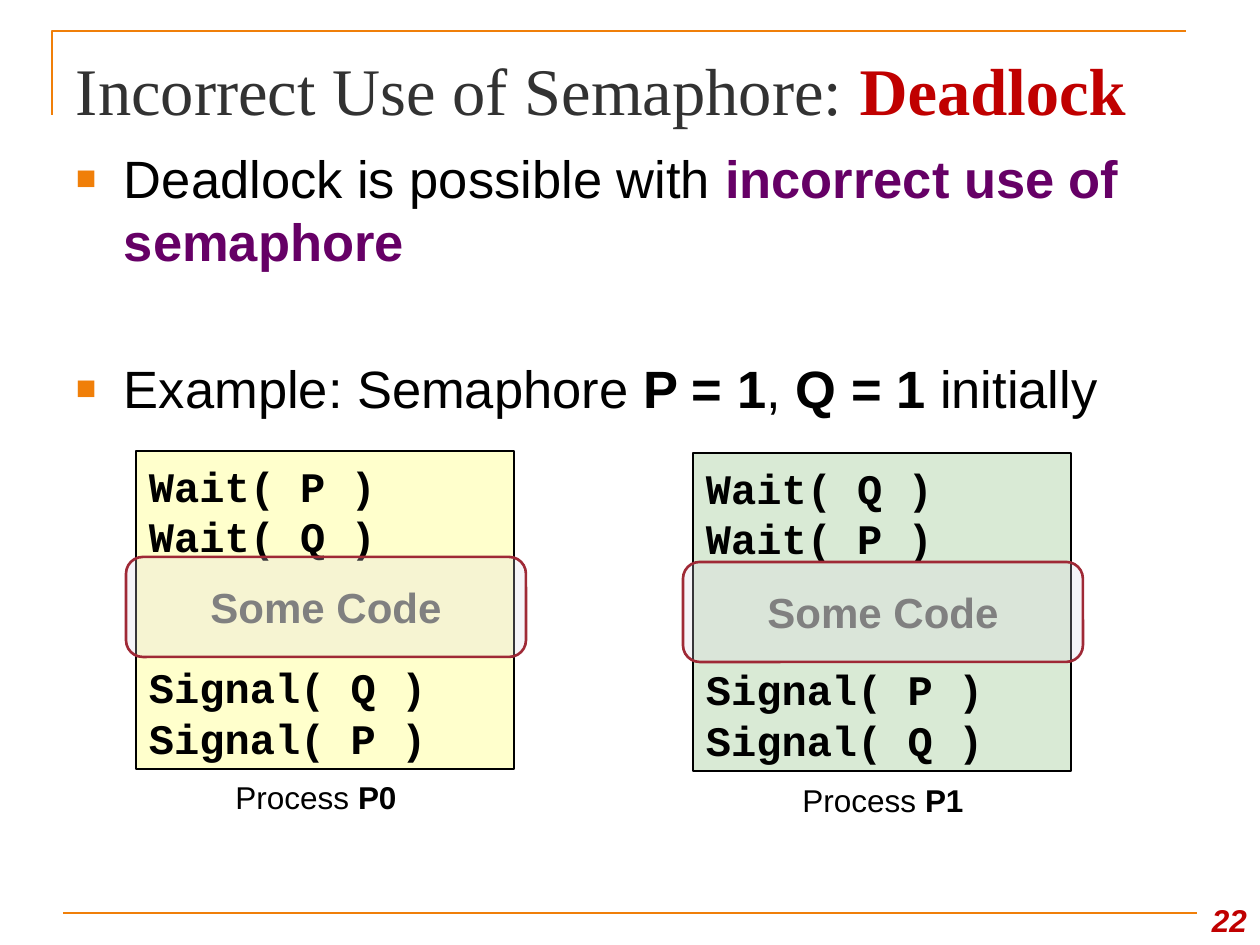
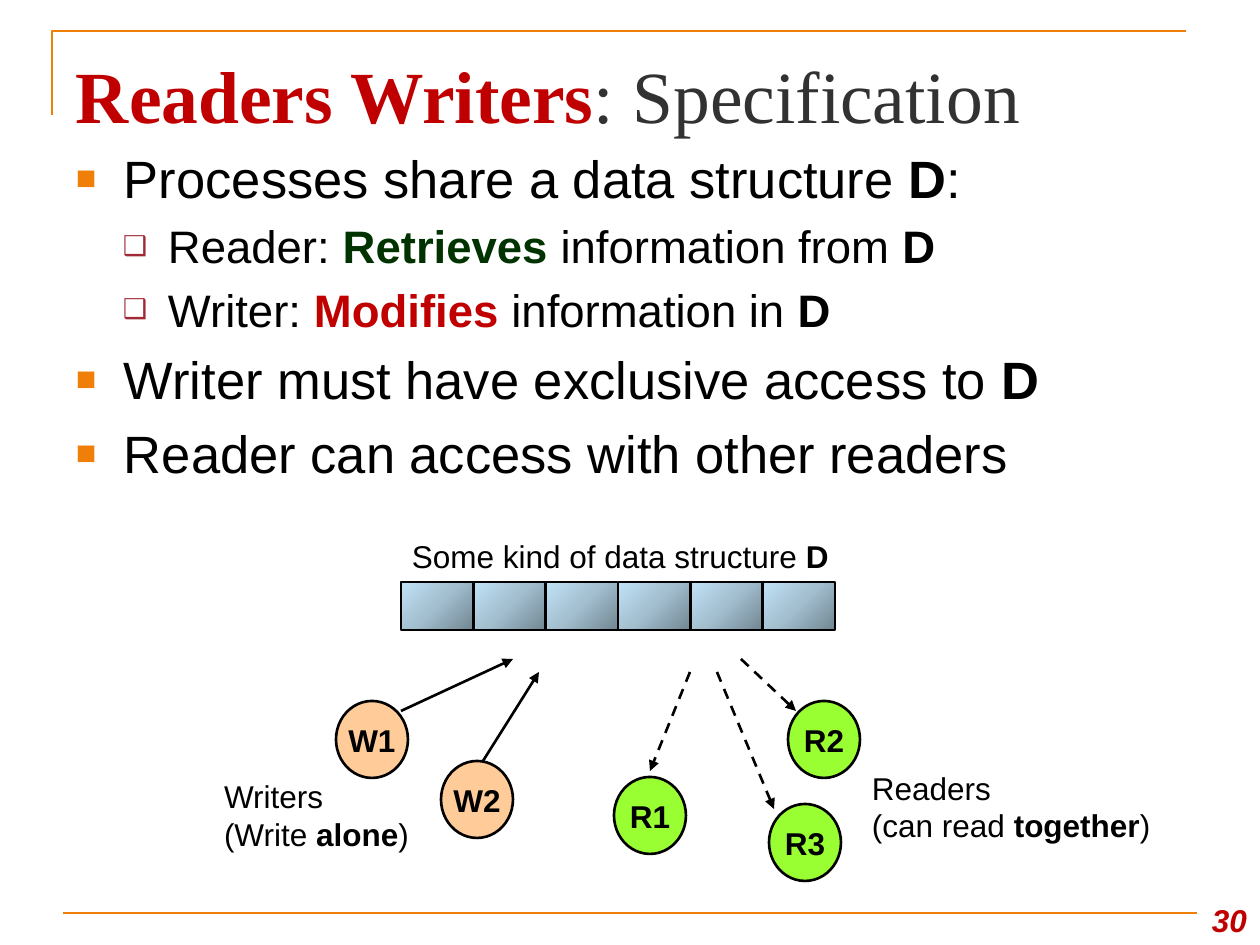
from lxml import etree
from pptx import Presentation
from pptx.dml.color import RGBColor
from pptx.enum.dml import MSO_LINE
from pptx.enum.shapes import MSO_CONNECTOR, MSO_SHAPE
from pptx.enum.text import MSO_ANCHOR, PP_ALIGN
from pptx.oxml import parse_xml
from pptx.oxml.ns import nsdecls, qn
from pptx.util import Emu, Pt

TOP, MIDDLE, BOTTOM = MSO_ANCHOR.TOP, MSO_ANCHOR.MIDDLE, MSO_ANCHOR.BOTTOM
LEFT, CENTER, RIGHT = PP_ALIGN.LEFT, PP_ALIGN.CENTER, PP_ALIGN.RIGHT
RECTANGLE, ROUNDED, OVAL = MSO_SHAPE.RECTANGLE, MSO_SHAPE.ROUNDED_RECTANGLE, MSO_SHAPE.OVAL
STRAIGHT, DASH = MSO_CONNECTOR.STRAIGHT, MSO_LINE.DASH

BLACK = RGBColor(0x00, 0x00, 0x00)
ORANGE = RGBColor(0xF0, 0x7F, 0x09)
MAROON = RGBColor(0x9F, 0x29, 0x36)
RED = RGBColor(0xC0, 0x00, 0x00)
CHARCOAL = RGBColor(0x32, 0x32, 0x32)
PURPLE = RGBColor(0x66, 0x00, 0x66)
DARK_GREEN = RGBColor(0x00, 0x33, 0x00)
GRAY = RGBColor(0x80, 0x80, 0x80)
LILAC = RGBColor(0xDF, 0xD7, 0xE7)
YELLOW = RGBColor(0xFF, 0xFF, 0xCC)
PALE_GREEN = RGBColor(0xD9, 0xEA, 0xD5)
LIME = RGBColor(0x99, 0xFF, 0x33)
PEACH = RGBColor(0xFF, 0xCC, 0x99)
CELL_STOPS = [(0, "728692"), (50, "A2BECF"), (100, "C1E2F6")]

SANS, SERIF, MONO = "Arial", "Times New Roman", "Courier New"
EMU_PER_PX = 914400 / 126
PX_PER_POINT = 1.75
LINE_PITCH = 1.2  # line height as a share of the font size
TOP_LEAD = 0.08  # extra room above the first line, same unit
MARGINS = (13, 6)
TIGHT_MARGINS = (11, 5)

# Bullet levels: character, colour, size %, indent px, hanging px, font size
BULLETS = [("■", ORANGE, 65, 48, 48, 30), ("❑", MAROON, 60, 92, 45, 26)]

# Content: a run is (text, bold, colour); colour may be left out
DEADLOCK = {
    "number": "22",
    "title_size": 38,
    "title": [("Incorrect Use of Semaphore: ", False, CHARCOAL), ("Deadlock", True, RED)],
    "body_height": 315,
    # level, space before in points, runs
    "body": [
        (0, 0, [("Deadlock is possible with ", False),
                ("incorrect use of semaphore", True, PURPLE)]),
        (0, 48, [("Example: Semaphore ", False), ("P = 1", True), (", ", False),
                 ("Q = 1", True), (" initially", False)]),
    ],
}
READERS_WRITERS = {
    "number": "30",
    "title_size": 42,
    "title": [("Readers Writers", True, RED), (": Specification", False, CHARCOAL)],
    "body_height": 374,
    "body": [
        (0, 0, [("Processes share a data structure ", False), ("D", True), (":", False)]),
        (1, 5.2, [("Reader: ", False), ("Retrieves ", True, DARK_GREEN),
                  ("information from ", False), ("D", True)]),
        (1, 5.2, [("Writer: ", False), ("Modifies", True, RED),
                  (" information in ", False), ("D", True)]),
        (0, 6, [("Writer must have exclusive access to", False), (" D", True)]),
        (0, 6, [("Reader can access with other readers", False)]),
    ],
}
# name, left, top, fill, waits, signals, caption shift, overlay drop
PROCESSES = [
    ("P0", 136, 451, YELLOW, ["Wait( P )", "Wait( Q )"],
     ["Signal( Q )", "Signal( P )"], 38, 106),
    ("P1", 693, 453, PALE_GREEN, ["Wait( Q )", "Wait( P )"],
     ["Signal( P )", "Signal( Q )"], 48, 109),
]
# name, left, top, fill, arrow start, arrow end, dash
ACTORS = [
    ("R1", 614, 777, LIME, (690, 672), (650, 771), DASH),
    ("R2", 788, 701, LIME, (741, 659), (796, 711), DASH),
    ("R3", 769, 804, LIME, (717, 672), (774, 809), DASH),
    ("W1", 336, 701, PEACH, (401, 711), (513, 659), None),
    ("W2", 441, 761, PEACH, (483, 761), (539, 672), None),
]
# box, lines of runs
LABELS = [
    ((401, 530, 444, 49), [[("Some kind of data structure ", False), ("D", True)]]),
    ((861, 761, 304, 88), [[("Readers", False)],
                           [("(can read ", False), ("together", True), (")", False)]]),
    ((213, 770, 209, 88), [[("Writers", False)],
                           [("(Write ", False), ("alone", True), (")", False)]]),
]
CELL_ROW = (401, 582, 434, 48)
CELL_COUNT = 6


def px(length):
    return Emu(round(length * EMU_PER_PX))


def add_runs(paragraph, runs, size, font_name=SANS, italic=False):
    for text, bold, *color in runs:
        run = paragraph.add_run()
        run.text = text
        font = run.font
        font.name, font.size, font.bold, font.italic = font_name, Pt(size), bold, italic
        font.color.rgb = color[0] if color else BLACK


def add_bullet(paragraph, level):
    character, color, percent, indent, hanging, _ = BULLETS[level]
    properties = paragraph._p.get_or_add_pPr()
    properties.set("marL", str(px(indent)))
    properties.set("indent", str(-px(hanging)))
    bullet_color = etree.SubElement(properties, qn("a:buClr"))
    etree.SubElement(bullet_color, qn("a:srgbClr"), val=str(color))
    etree.SubElement(properties, qn("a:buSzPct"), val=str(percent * 1000))
    etree.SubElement(properties, qn("a:buFont"), typeface=SANS)
    etree.SubElement(properties, qn("a:buChar"), char=character)


def set_frame(shape, size, anchor=TOP, margins=MARGINS, wrap=True):
    """Prepare the text frame; top-anchored text starts slightly lower."""
    frame = shape.text_frame
    frame.word_wrap = wrap
    frame.vertical_anchor = anchor
    lead = TOP_LEAD * size * PX_PER_POINT if anchor == TOP else 0
    frame.margin_left = frame.margin_right = px(margins[0])
    frame.margin_top, frame.margin_bottom = px(margins[1] + lead), px(margins[1])
    return frame


def write_lines(frame, lines, size, font_name=SANS, align=LEFT, italic=False):
    """Write (space before, runs) lines and return their paragraphs."""
    paragraphs = []
    for index, (space, runs) in enumerate(lines):
        paragraph = frame.add_paragraph() if index else frame.paragraphs[0]
        paragraph.alignment = align
        if frame.vertical_anchor == TOP:
            paragraph.line_spacing = Pt(size * LINE_PITCH)
        if space:
            paragraph.space_before = Pt(space)
        add_runs(paragraph, runs, size, font_name, italic)
        paragraphs.append(paragraph)
    return paragraphs


def add_text(slide, box, lines, size, font_name=SANS, align=LEFT, italic=False, **frame_options):
    shape = slide.shapes.add_textbox(*map(px, box))
    frame = set_frame(shape, size, **frame_options)
    write_lines(frame, lines, size, font_name, align, italic)


def add_box(slide, kind, box, fill=None, line=BLACK, width=1.5):
    shape = slide.shapes.add_shape(kind, *map(px, box))
    shape.shadow.inherit = False
    if fill is not None:
        shape.fill.solid()
        shape.fill.fore_color.rgb = fill
    shape.line.color.rgb, shape.line.width = line, Pt(width)
    return shape


def add_line(slide, start, end, color, dash=None, arrow=False):
    line = slide.shapes.add_connector(STRAIGHT, *map(px, start + end))
    line.line.color.rgb, line.line.width = color, Pt(1.5)
    if dash is not None:
        line.line.dash_style = dash
    if arrow:
        etree.SubElement(line.line._get_or_add_ln(), qn("a:tailEnd"), type="triangle")
    etree.SubElement(line._element.spPr, qn("a:effectLst"))


def add_base_slide(presentation, content):
    """Add a slide with the frame lines, title, bullets and page number."""
    slide = presentation.slides.add_slide(presentation.slide_layouts[6])
    builder = slide.shapes.build_freeform(px(52), px(115), scale=1.0)
    builder.add_line_segments([(px(52), px(31)), (px(1186), px(31))], close=False)
    corner = builder.convert_to_shape()
    corner.shadow.inherit = False
    corner.fill.background()
    corner.line.color.rgb, corner.line.width = ORANGE, Pt(1.5)
    add_line(slide, (63, 913), (1197, 913), ORANGE)

    add_text(slide, (63, 38, 1134, 98), [(0, content["title"])], content["title_size"], SERIF)

    body = slide.shapes.add_textbox(*map(px, (63, 136, 1134, content["body_height"])))
    frame = set_frame(body, BULLETS[0][-1])
    for index, (level, space, runs) in enumerate(content["body"]):
        paragraph = frame.add_paragraph() if index else frame.paragraphs[0]
        add_bullet(paragraph, level)
        paragraph.level = level
        size = BULLETS[level][-1]
        paragraph.line_spacing = Pt(size * LINE_PITCH)
        paragraph.space_before = Pt(space)
        add_runs(paragraph, runs, size)

    add_text(slide, (1187, 882, 73, 63), [(0, [(content["number"], True, RED)])], 18,
             align=RIGHT, italic=True, anchor=BOTTOM)
    return slide


def add_process(slide, name, left, top, fill, waits, signals, caption_shift, overlay_drop):
    """Add a code listing with its caption and the box covering its middle."""
    listing = add_box(slide, RECTANGLE, (left, top, 378, 318), fill, width=0.75)
    covered_lines = 2 * 24 * LINE_PITCH
    lines = [(0, [(text, True)]) for text in waits + signals]
    lines[len(waits)] = (covered_lines, lines[len(waits)][1])
    write_lines(set_frame(listing, 24), lines, 24, MONO)

    add_text(slide, (left + caption_shift, top + 319, 284, 50),
             [(0, [("Process ", False), (name, True)])], 18, align=CENTER)

    overlay = add_box(slide, ROUNDED, (left - 10, top + overlay_drop, 400, 100), LILAC, MAROON)
    color = overlay._element.spPr.find(qn("a:solidFill"))[0]
    etree.SubElement(color, qn("a:alpha"), val="25000")
    write_lines(set_frame(overlay, 24, MIDDLE), [(0, [("Some Code", True, GRAY)])], 24,
                align=CENTER)


def add_data_cells(slide):
    left, top, width, height = CELL_ROW
    stops = "".join(f'<a:gs pos="{position * 1000}"><a:srgbClr val="{color}"/></a:gs>'
                    for position, color in CELL_STOPS)
    gradient = (f'<a:gradFill {nsdecls("a")}><a:gsLst>{stops}</a:gsLst>'
                '<a:lin ang="13500000" scaled="0"/></a:gradFill>')
    cell_width = width / CELL_COUNT
    for index in range(CELL_COUNT):
        cell = add_box(slide, RECTANGLE, (left + index * cell_width, top, cell_width, height))
        cell._element.spPr.find(qn("a:prstGeom")).addnext(parse_xml(gradient))


def add_actor(slide, name, left, top, fill, start, end, dash):
    circle = add_box(slide, OVAL, (left, top, 72, 77), fill)
    frame = set_frame(circle, 18, MIDDLE, TIGHT_MARGINS, wrap=False)
    write_lines(frame, [(0, [(name, True)])], 18, align=CENTER)
    add_line(slide, start, end, BLACK, dash, arrow=True)


def main():
    presentation = Presentation()
    presentation.slide_width, presentation.slide_height = px(1260), px(945)

    slide = add_base_slide(presentation, DEADLOCK)
    for process in PROCESSES:
        add_process(slide, *process)

    slide = add_base_slide(presentation, READERS_WRITERS)
    add_data_cells(slide)
    for actor in ACTORS:
        add_actor(slide, *actor)
    for box, lines in LABELS:
        add_text(slide, box, [(0, runs) for runs in lines], 18,
                 margins=TIGHT_MARGINS, wrap=False)

    presentation.save("out.pptx")


if __name__ == "__main__":
    main()
